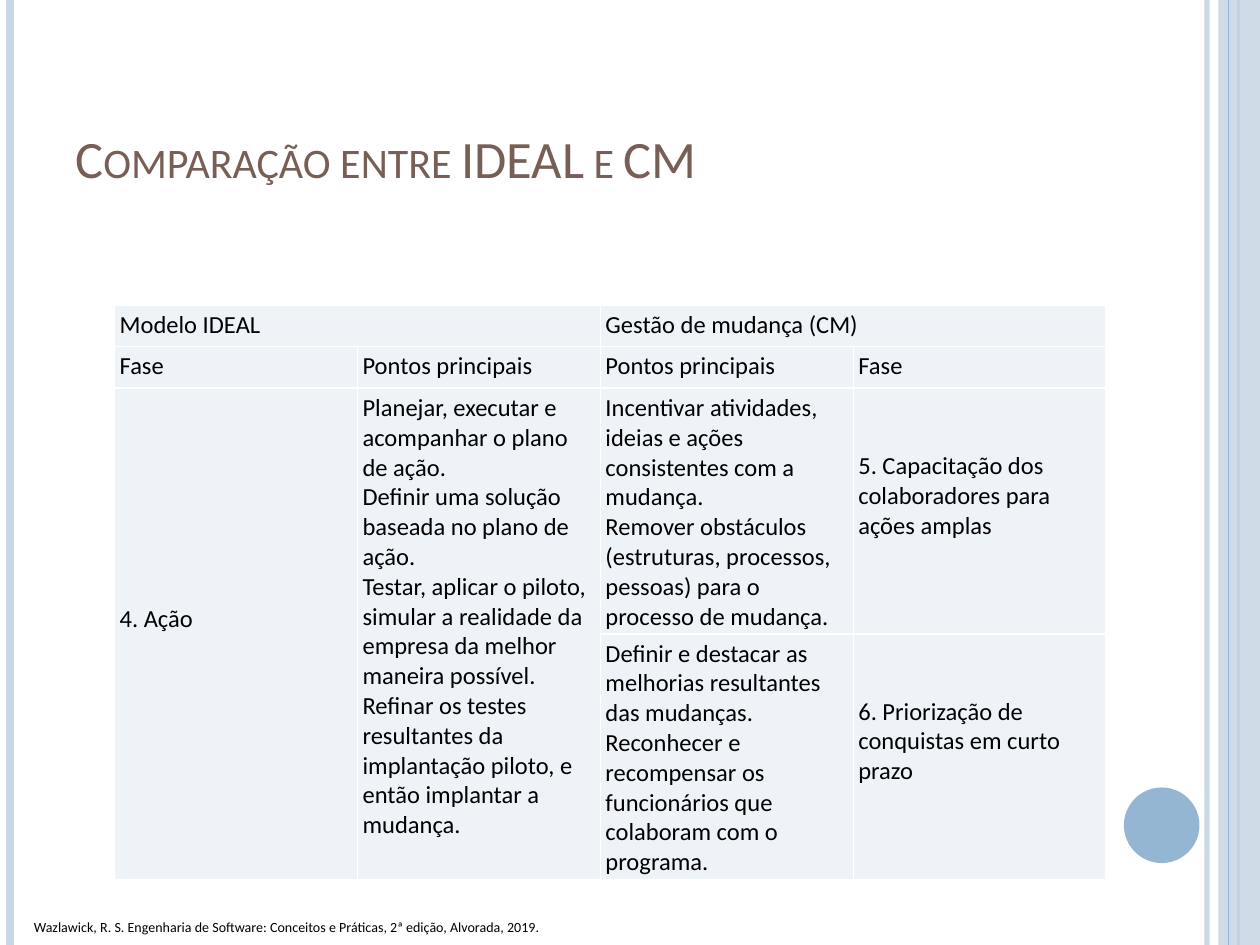
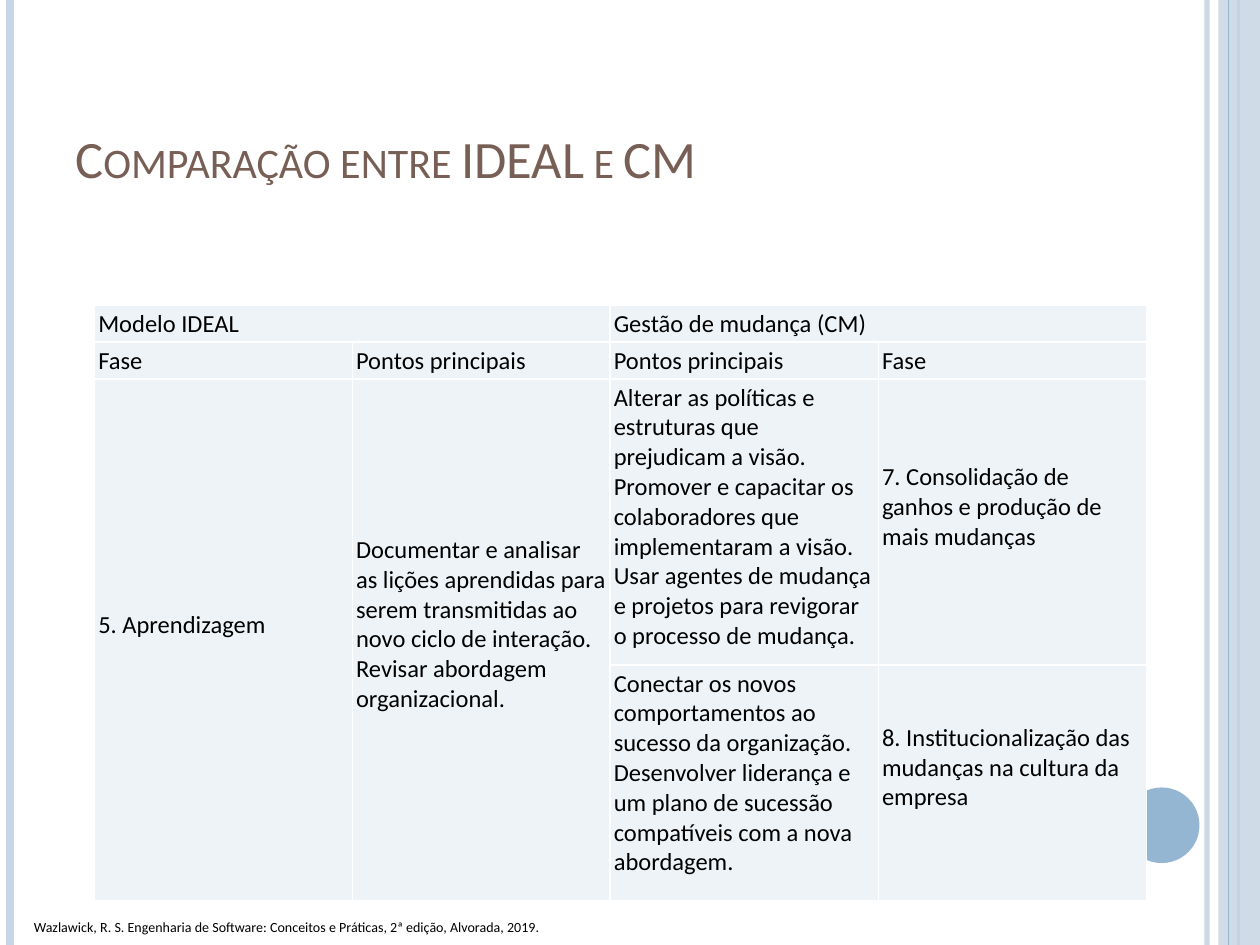
from lxml import etree
from pptx import Presentation
from pptx.dml.color import RGBColor
from pptx.enum.shapes import MSO_CONNECTOR, MSO_SHAPE
from pptx.enum.text import MSO_ANCHOR
from pptx.oxml.ns import qn
from pptx.util import Inches, Pt

STRAIGHT = MSO_CONNECTOR.STRAIGHT
RECT, OVAL = MSO_SHAPE.RECTANGLE, MSO_SHAPE.OVAL
TOP, MIDDLE, BOTTOM = MSO_ANCHOR.TOP, MSO_ANCHOR.MIDDLE, MSO_ANCHOR.BOTTOM

PALE_BLUE = RGBColor(0xC8, 0xD7, 0xE5)
BLUE = RGBColor(0x94, 0xB6, 0xD2)
BROWN = RGBColor(0x77, 0x5F, 0x55)
BLACK = RGBColor(0, 0, 0)
WHITE = RGBColor(0xFF, 0xFF, 0xFF)
CELL_FILL = RGBColor(0xEE, 0xF3, 0xF7)

FONT = "Calibri"
WIDTH, HEIGHT = 10, 7.5
TITLE = "Comparação entre IDEAL e CM"
SOURCE = ("Wazlawick, R. S. Engenharia de Software: Conceitos e Práticas, "
          "2ª edição, Alvorada, 2019.")

# Table layout shared by both comparisons
TABLE_TOP = 2.42
COLUMN_SHARES = (0.245, 0.245, 0.255, 0.255)
HEADINGS = {
    (0, 0): "Modelo IDEAL",
    (0, 2): "Gestão de mudança (CM)",
    (1, 0): "Fase",
    (1, 1): "Pontos principais",
    (1, 2): "Pontos principais",
    (1, 3): "Fase",
}
MERGES = (((0, 0), (0, 1)), ((0, 2), (0, 3)),
          ((2, 0), (3, 0)), ((2, 1), (3, 1)))
LINE_SPACE = 0.24  # one text line kept free below centred cells

ACTION = {
    (2, 0): "4. Ação",
    (2, 1): "Planejar, executar e acompanhar o plano de ação.\n"
            "Definir uma solução baseada no plano de ação.\n"
            "Testar, aplicar o piloto, simular a realidade da empresa "
            "da melhor maneira possível.\n"
            "Refinar os testes resultantes da implantação piloto, "
            "e então implantar a mudança.",
    (2, 2): "Incentivar atividades, ideias e ações consistentes com a mudança.\n"
            "Remover obstáculos (estruturas, processos, pessoas) "
            "para o processo de mudança.",
    (2, 3): "5. Capacitação dos colaboradores para ações amplas",
    (3, 2): "Definir e destacar as melhorias resultantes das mudanças.\n"
            "Reconhecer e recompensar os funcionários que colaboram "
            "com o programa.",
    (3, 3): "6. Priorização de conquistas em curto prazo",
}
LEARNING = {
    (2, 0): "5. Aprendizagem",
    (2, 1): "Documentar e analisar as lições aprendidas para serem "
            "transmitidas ao novo ciclo de interação.\n"
            "Revisar abordagem organizacional.",
    (2, 2): "Alterar as políticas e estruturas que prejudicam a visão.\n"
            "Promover e capacitar os colaboradores que implementaram a visão.\n"
            "Usar agentes de mudança e projetos para revigorar "
            "o processo de mudança.",
    (2, 3): "7. Consolidação de ganhos e produção de mais mudanças",
    (3, 2): "Conectar os novos comportamentos ao sucesso da organização.\n"
            "Desenvolver liderança e um plano de sucessão compatíveis "
            "com a nova abordagem.",
    (3, 3): "8. Institucionalização das mudanças na cultura da empresa",
}


def set_alpha(element, percent):
    color = element.find(".//" + qn("a:srgbClr"))
    etree.SubElement(color, qn("a:alpha")).set("val", str(percent * 1000))


def write(tf, text, size, color):
    tf.text = text
    for p in tf.paragraphs:
        p.font.name = FONT
        p.font.size = Pt(size)
        p.font.color.rgb = color


def add_rule(s, x, color, weight, alpha=100):
    line = s.shapes.add_connector(STRAIGHT, Inches(x), 0, Inches(x), Inches(HEIGHT))
    line.line.color.rgb = color
    line.line.width = Pt(weight)
    props = line._element.spPr
    if alpha < 100:
        set_alpha(props, alpha)
    etree.SubElement(props, qn("a:effectLst"))


def add_block(s, kind, x, y, w, h, color, alpha=100):
    sp = s.shapes.add_shape(kind, Inches(x), Inches(y), Inches(w), Inches(h))
    sp.shadow.inherit = False
    sp.fill.solid()
    sp.fill.fore_color.rgb = color
    sp.line.fill.background()
    if alpha < 100:
        set_alpha(sp._element.spPr, alpha)


def add_text(s, x, y, w, h, text, size, color, anchor=TOP, wrap=True):
    sp = s.shapes.add_textbox(Inches(x), Inches(y), Inches(w), Inches(h))
    tf = sp.text_frame
    tf.word_wrap = wrap
    tf.vertical_anchor = anchor
    write(tf, text, size, color)
    return tf.paragraphs[0]


def add_frame(s):
    # Side rules, right band and circle
    add_rule(s, 9.58, PALE_BLUE, 3, 93)
    add_rule(s, 0.08, PALE_BLUE, 4.5)
    add_rule(s, 9.83, BLUE, 1.5)
    add_block(s, RECT, 9.67, 0, WIDTH - 9.67, HEIGHT, PALE_BLUE, 87)
    add_rule(s, 9.75, BLUE, 0.75)
    add_block(s, OVAL, 8.92, 6.25, 0.6, 0.6, BLUE)

    # Footer and title
    add_text(s, 0.17, 7.24, 4.83, 0.24, SOURCE, 8, BLACK, wrap=False)
    p = add_text(s, 0.5, 0.3, 8.17, 1.25, TITLE, 30, BROWN, BOTTOM)
    p.runs[0]._r.get_or_add_rPr().set("cap", "small")


def style_cell(cell, inset):
    cell.margin_left = cell.margin_right = Inches(inset)
    cell.margin_top = cell.margin_bottom = Inches(inset)
    props = cell._tc.get_or_add_tcPr()
    for side in ("a:lnL", "a:lnR", "a:lnT", "a:lnB"):
        border = etree.SubElement(props, qn(side), w=str(Pt(1)))
        fill = etree.SubElement(border, qn("a:solidFill"))
        etree.SubElement(fill, qn("a:srgbClr"), val=str(WHITE))
    cell.fill.solid()
    cell.fill.fore_color.rgb = CELL_FILL


def add_comparison(s, left, width, row_heights, inset, body, centred):
    frame = s.shapes.add_table(
        len(row_heights), len(COLUMN_SHARES), Inches(left), Inches(TABLE_TOP),
        Inches(width), Inches(sum(row_heights)))
    table = frame.table
    table.first_row = table.horz_banding = False
    for column, share in zip(table.columns, COLUMN_SHARES):
        column.width = Inches(width * share)
    for row, height in zip(table.rows, row_heights):
        row.height = Inches(height)
    for cell in table.iter_cells():
        style_cell(cell, inset)
    for start, end in MERGES:
        table.cell(*start).merge(table.cell(*end))
    for position, text in {**HEADINGS, **body}.items():
        cell = table.cell(*position)
        write(cell.text_frame, text, 14, BLACK)
        if position in centred:
            cell.vertical_anchor = MIDDLE
            cell.margin_bottom = Inches(inset + LINE_SPACE)


def main():
    prs = Presentation()
    prs.slide_width, prs.slide_height = Inches(WIDTH), Inches(HEIGHT)
    blank = prs.slide_layouts[6]
    phases = [(2, 0), (2, 3), (3, 3)]
    comparisons = (
        (0.91, 7.87, (0.33, 0.33, 1.95, 1.95), 0.04, ACTION, phases),
        (0.75, 8.35, (0.25, 0.25, 2.27, 1.87), 0.03, LEARNING, phases + [(2, 1)]),
    )
    for comparison in comparisons:
        s = prs.slides.add_slide(blank)
        add_frame(s)
        add_comparison(s, *comparison)
    prs.save("out.pptx")


if __name__ == "__main__":
    main()
